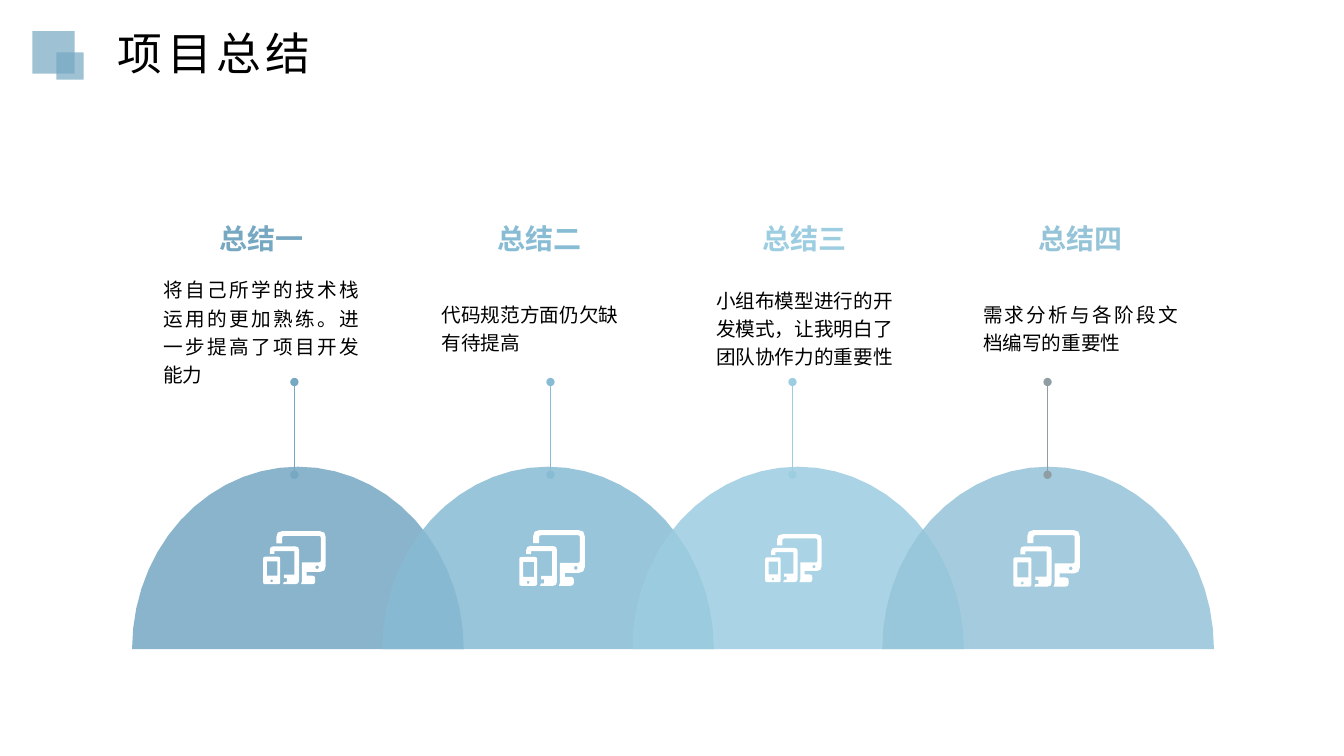
from math import cos, hypot, pi, sin

from lxml.etree import SubElement
from pptx import Presentation
from pptx.dml.color import RGBColor
from pptx.enum.shapes import MSO_CONNECTOR as CONNECTOR, MSO_SHAPE as SHAPE
from pptx.enum.text import MSO_ANCHOR as ANCHOR, MSO_AUTO_SIZE as AUTO_SIZE, PP_ALIGN as ALIGN
from pptx.oxml.ns import qn
from pptx.util import Inches, Pt

FONT = "Arial Narrow"
COLORS = {
    "text": "000000", "icon": "FFFFFF", "grey": "909DA2",
    "steel": "76A8C2", "sky": "87BCD4", "pale": "9CCDE1", "mist": "95C4D9",
}

# heading, text, alignment, colour, stem colour, text box (left, top, height), stem x,
# icon (left, top, width)
SUMMARIES = [
    ("总结一", "将自己所学的技术栈运用的更加熟练。进一步提高了项目开发能力",
     ALIGN.JUSTIFY, "steel", "steel", (1.62, 2.75, 1.05), 2.92, (2.61, 5.27, 0.62)),
    ("总结二", "代码规范方面仍欠缺有待提高",
     ALIGN.LEFT, "sky", "sky", (4.38, 2.83, 0.82), 5.46, (5.15, 5.26, 0.65)),
    ("总结三", "小组布模型进行的开发模式，让我明白了团队协作力的重要性",
     ALIGN.CENTER, "pale", "pale", (7.01, 2.83, 0.82), 7.86, (7.59, 5.3, 0.56)),
    ("总结四", "需求分析与各阶段文档编写的重要性",
     ALIGN.JUSTIFY, "mist", "grey", (9.75, 2.83, 0.82), 10.39, (10.05, 5.26, 0.66)),
]
TEXT_WIDTH = 1.94
DOME_LEFT, DOME_TOP, DOME_STEP = 1.31, 4.63, 2.48
DOME_WIDTH, DOME_HEIGHT = 3.29, 1.81

# Icon outlines as corners (x, y, radius) on a grid 66 wide
ICON_WIDTH = 66
ICON_CORNERS = [
    # phone body and its screen
    [(0, 27, 2), (18, 27, 2), (18, 56, 2), (0, 56, 2)],
    [(4, 32, 0), (15, 32, 0), (15, 47, 0), (4, 47, 0)],
    # tablet, with a notch for its button
    [(7, 16, 4), (38, 16, 4), (38, 56, 4), (21, 56, 0), (22, 53.5, 0), (25, 53.5, 0),
     (25, 49.5, 0), (22, 49.5, 0), (22, 46, 0), (33, 46, 0), (33, 21, 0), (12, 21, 0),
     (12, 24, 0), (7, 24, 0)],
    # monitor and stand
    [(14, 0, 6), (66, 0, 6), (66, 43, 6), (46, 43, 0), (46, 47, 0), (55, 47, 3),
     (55, 56, 3), (40, 56, 0), (41, 53, 0), (41, 33, 0), (61, 33, 2), (61, 5, 2),
     (20, 5, 2), (20, 13, 0), (14, 13, 0)],
]
ICON_BUTTONS = [(9, 52.5, 1.5), (57, 38, 2)]


def rgb(name):
    return RGBColor.from_string(COLORS[name])


def write(frame, text, size, color="text", bold=False, align=ALIGN.LEFT,
          anchor=ANCHOR.MIDDLE, wrap=True, line_spacing=None, spacing=None):
    frame.word_wrap = wrap
    frame.vertical_anchor = anchor
    paragraph = frame.paragraphs[0]
    paragraph.alignment = align
    paragraph.line_spacing = line_spacing
    run = paragraph.add_run()
    run.text = text
    run.font.name, run.font.size, run.font.bold = FONT, Pt(size), bold
    run.font.color.rgb = rgb(color)
    if spacing:
        run.font._element.set("spc", str(spacing * 100))


def add_label(slide, box, text, **text_format):
    frame = slide.shapes.add_textbox(*map(Inches, box)).text_frame
    frame.margin_left = frame.margin_right = frame.margin_top = frame.margin_bottom = 0
    write(frame, text, **text_format)


def paint(shape, color, opacity=100):
    shape.shadow.inherit = False
    shape.line.fill.background()
    shape.fill.solid()
    shape.fill.fore_color.rgb = rgb(color)
    if opacity < 100:
        tint = shape._element.spPr.find(qn("a:solidFill"))[0]
        SubElement(tint, qn("a:alpha")).set("val", str(opacity * 1000))


def arc(center_x, center_y, radius_x, radius_y, sweep, steps):
    angles = [pi + sweep * step / steps for step in range(steps + 1)]
    return [(center_x + radius_x * cos(a), center_y + radius_y * sin(a)) for a in angles]


def toward(start, end, distance):
    length = hypot(end[0] - start[0], end[1] - start[1])
    return tuple(s + (e - s) * distance / length for s, e in zip(start[:2], end[:2]))


def rounded(corners):
    points = []
    for i, corner in enumerate(corners):
        x, y, radius = corner
        if not radius:
            points.append((x, y))
            continue
        enter = toward(corner, corners[i - 1], radius)
        leave = toward(corner, corners[(i + 1) % len(corners)], radius)
        bend = tuple((a + 2 * b + c) / 4 for a, b, c in zip(enter, (x, y), leave))
        points += [enter, bend, leave]
    return points


def add_outline(slide, contours):
    contours = [[(Inches(x), Inches(y)) for x, y in contour] for contour in contours]
    builder = slide.shapes.build_freeform(*contours[0][0])
    for i, contour in enumerate(contours):
        if i:
            builder.move_to(*contour[0])
        builder.add_line_segments(contour[1:], close=True)
    return builder.convert_to_shape()


def add_header(slide, left, top):
    # Two overlapping squares
    for offset_x, offset_y, side in ((0, 0, 0.42), (0.24, 0.21, 0.27)):
        square = slide.shapes.add_shape(SHAPE.RECTANGLE, Inches(left + offset_x),
                                        Inches(top + offset_y), Inches(side), Inches(side))
        paint(square, "steel", opacity=70)
    # Title
    title = slide.shapes.title
    title.left, title.top = Inches(left + 0.75), Inches(top - 0.11)
    title.width, title.height = Inches(2.63), Inches(0.64)
    write(title.text_frame, "项目总结", size=32, anchor=ANCHOR.TOP, spacing=3)
    title.text_frame.auto_size = AUTO_SIZE.SHAPE_TO_FIT_TEXT


def add_stem(slide, x, bottom, top, color):
    stem = slide.shapes.add_connector(CONNECTOR.STRAIGHT, Inches(x), Inches(bottom),
                                      Inches(x), Inches(top))
    stem.line.color.rgb = rgb(color)
    stem.line.width = Pt(1)
    for end in ("a:headEnd", "a:tailEnd"):
        SubElement(stem.line._get_or_add_ln(), qn(end)).set("type", "oval")
    SubElement(stem._element.spPr, qn("a:effectLst"))


def add_devices_icon(slide, left, top, width):
    scale = width / ICON_WIDTH
    contours = [rounded(corners) for corners in ICON_CORNERS]
    contours += [arc(x, y, r, r, 2 * pi, 6)[:-1] for x, y, r in ICON_BUTTONS]
    icon = add_outline(slide, [[(left + x * scale, top + y * scale) for x, y in contour]
                               for contour in contours])
    paint(icon, "icon")


def add_summary(slide, dome_left, dome_top, summary):
    heading, text, align, color, stem_color, text_box, stem_x, icon = summary
    text_left, text_top, text_height = text_box
    # Heading and text
    add_label(slide, (text_left, dome_top - 2.45, TEXT_WIDTH, 0.36), heading, size=20,
              color=color, bold=True, align=ALIGN.CENTER, wrap=False)
    add_label(slide, (text_left, text_top, TEXT_WIDTH, text_height), text, size=14,
              align=align, line_spacing=1.2)
    # Dome, stem and icon
    dome = add_outline(slide, [arc(dome_left + DOME_WIDTH / 2, dome_top + DOME_HEIGHT,
                                   DOME_WIDTH / 2, DOME_HEIGHT, pi, 28)])
    paint(dome, color, opacity=85)
    add_stem(slide, stem_x, dome_top + 0.08, dome_top - 0.84, stem_color)
    add_devices_icon(slide, *icon)


def main():
    deck = Presentation()
    deck.slide_width, deck.slide_height = Inches(13.33), Inches(7.5)
    slide = deck.slides.add_slide(deck.slide_layouts[5])
    add_header(slide, 0.32, 0.31)
    for i, summary in enumerate(SUMMARIES):
        add_summary(slide, DOME_LEFT + i * DOME_STEP, DOME_TOP, summary)
    deck.save("out.pptx")


if __name__ == "__main__":
    main()
